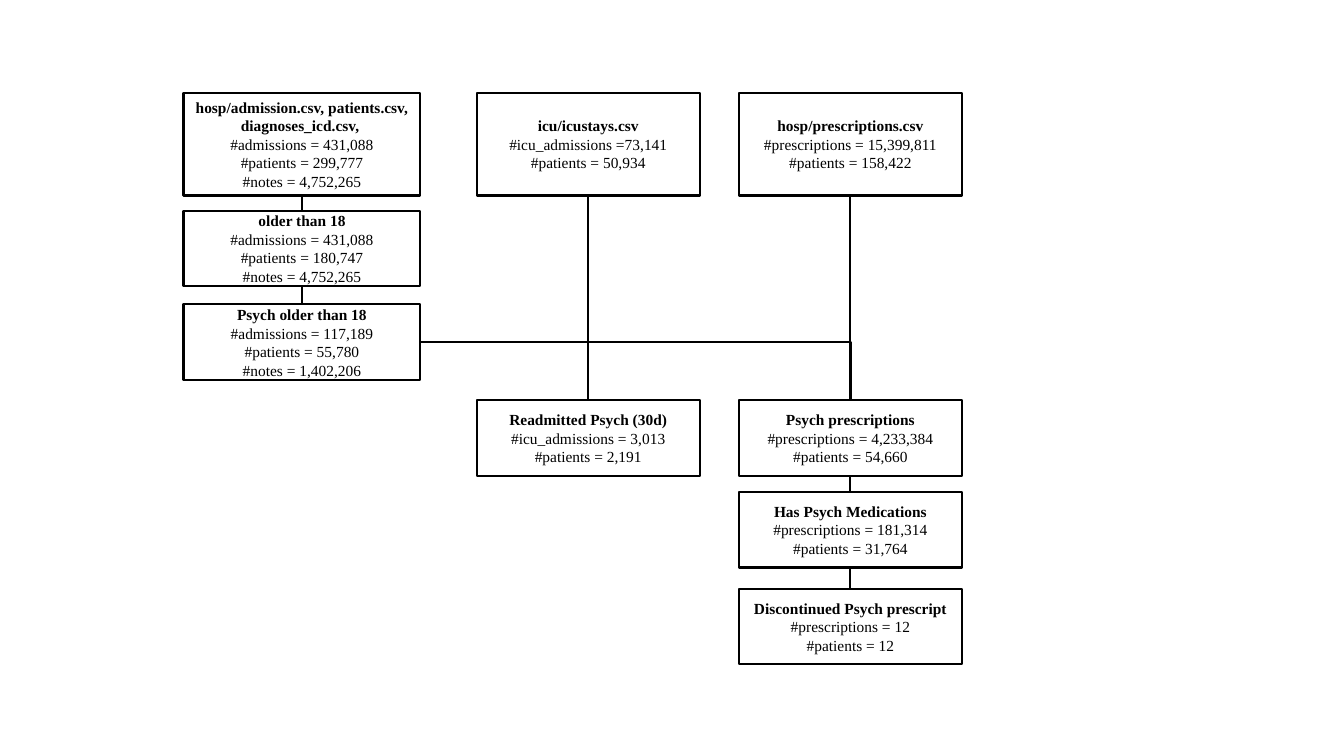
from itertools import pairwise

from lxml.etree import SubElement
from pptx import Presentation
from pptx.dml.color import RGBColor
from pptx.enum.shapes import MSO_CONNECTOR as Link, MSO_SHAPE as Shape
from pptx.enum.text import MSO_ANCHOR as Anchor, PP_ALIGN as Align
from pptx.oxml.ns import qn
from pptx.util import Inches, Pt

BLACK, WHITE = "000000", "FFFFFF"
TOP, LEFT, BOTTOM, RIGHT = range(4)
COLUMNS = {"hospital": (1.82, 2.35), "icu": (4.73, 2.21), "drugs": (7.33, 2.21)}
ROWS = {
    "source": (0.92, 1.02),
    "adults": (2.09, 0.75),
    "psych": (3.02, 0.75),
    "merged": (3.97, 0.75),
    "medicated": (4.88, 0.75),
    "stopped": (5.84, 0.75),
}
COHORTS = {
    ("hospital", "source"): (
        "hosp/admission.csv, patients.csv, diagnoses_icd.csv, ",
        "#admissions = 431,088", "#patients = 299,777", "#notes = 4,752,265"),
    ("hospital", "adults"): (
        "older than 18",
        "#admissions = 431,088", "#patients = 180,747", "#notes = 4,752,265"),
    ("hospital", "psych"): (
        "Psych older than 18",
        "#admissions = 117,189", "#patients = 55,780", "#notes = 1,402,206"),
    ("icu", "source"): (
        "icu/icustays.csv", "#icu_admissions =73,141", "#patients = 50,934"),
    ("icu", "merged"): (
        "Readmitted Psych (30d)", "#icu_admissions = 3,013", "#patients = 2,191"),
    ("drugs", "source"): (
        "hosp/prescriptions.csv", "#prescriptions = 15,399,811", "#patients = 158,422"),
    ("drugs", "merged"): (
        "Psych prescriptions", "#prescriptions = 4,233,384", "#patients = 54,660"),
    ("drugs", "medicated"): (
        "Has Psych Medications", "#prescriptions = 181,314", "#patients = 31,764"),
    ("drugs", "stopped"): (
        "Discontinued Psych prescript", "#prescriptions = 12", "#patients = 12"),
}


def color(value):
    """Turn a hex string into a colour."""
    return RGBColor.from_string(value)


def apply(target, values):
    """Set each attribute of the target from a dict."""
    for name, value in values.items():
        setattr(target, name, value)


def draw_line(line):
    """Give an outline or a connector the black rule."""
    line.fill.solid()
    line.fill.fore_color.rgb = color(BLACK)
    line.width = Pt(1.5)


def write_lines(frame, lines):
    """Write a bold heading and the counts below it."""
    apply(frame, {"word_wrap": True, "vertical_anchor": Anchor.MIDDLE})
    for index, line in enumerate(lines):
        para = frame.add_paragraph() if index else frame.paragraphs[0]
        para.alignment = Align.CENTER
        span = para.add_run()
        span.text = line
        apply(span.font, {"name": "Times New Roman", "size": Pt(11), "bold": index == 0})
        span.font.color.rgb = color(BLACK)


def add_cohort(page, column, row, lines):
    """Draw one cohort box at a column and row."""
    (left, width), (top, height) = COLUMNS[column], ROWS[row]
    box = page.shapes.add_shape(
        Shape.RECTANGLE, Inches(left), Inches(top), Inches(width), Inches(height))
    box.shadow.inherit = False
    box.fill.solid()
    box.fill.fore_color.rgb = color(WHITE)
    draw_line(box.line)
    write_lines(box.text_frame, lines)
    return box


def join(page, start, end, kind=Link.STRAIGHT, side=BOTTOM):
    """Connect a side of one box to the top of another."""
    connector = page.shapes.add_connector(kind, 0, 0, 0, 0)
    connector.begin_connect(start, side)
    connector.end_connect(end, TOP)
    draw_line(connector.line)
    properties = connector._element.spPr
    SubElement(properties, qn("a:effectLst"))
    if kind == Link.ELBOW:
        properties.find(qn("a:prstGeom")).set("prst", "bentConnector2")


def main():
    """Build the cohort selection flowchart."""
    deck = Presentation()
    apply(deck, {"slide_width": Inches(13.33), "slide_height": Inches(7.5)})
    page = deck.slides.add_slide(deck.slide_layouts[6])
    boxes = {place: add_cohort(page, *place, lines) for place, lines in COHORTS.items()}
    for start, end in pairwise(boxes):
        if start[0] == end[0]:
            join(page, boxes[start], boxes[end])
    for column in ("icu", "drugs"):
        join(page, boxes["hospital", "psych"], boxes[column, "merged"], Link.ELBOW, RIGHT)
    deck.save("out.pptx")


if __name__ == "__main__":
    main()
